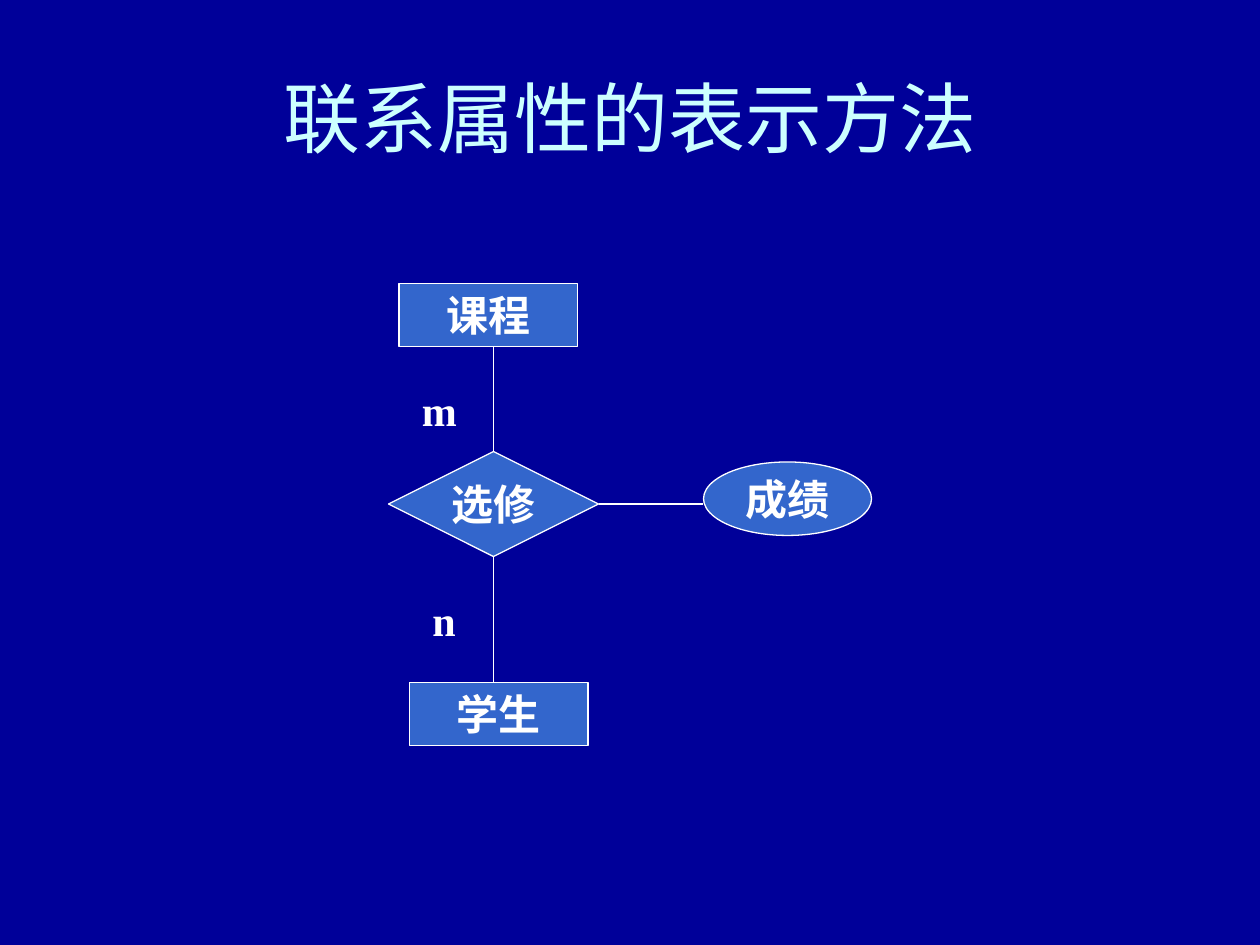
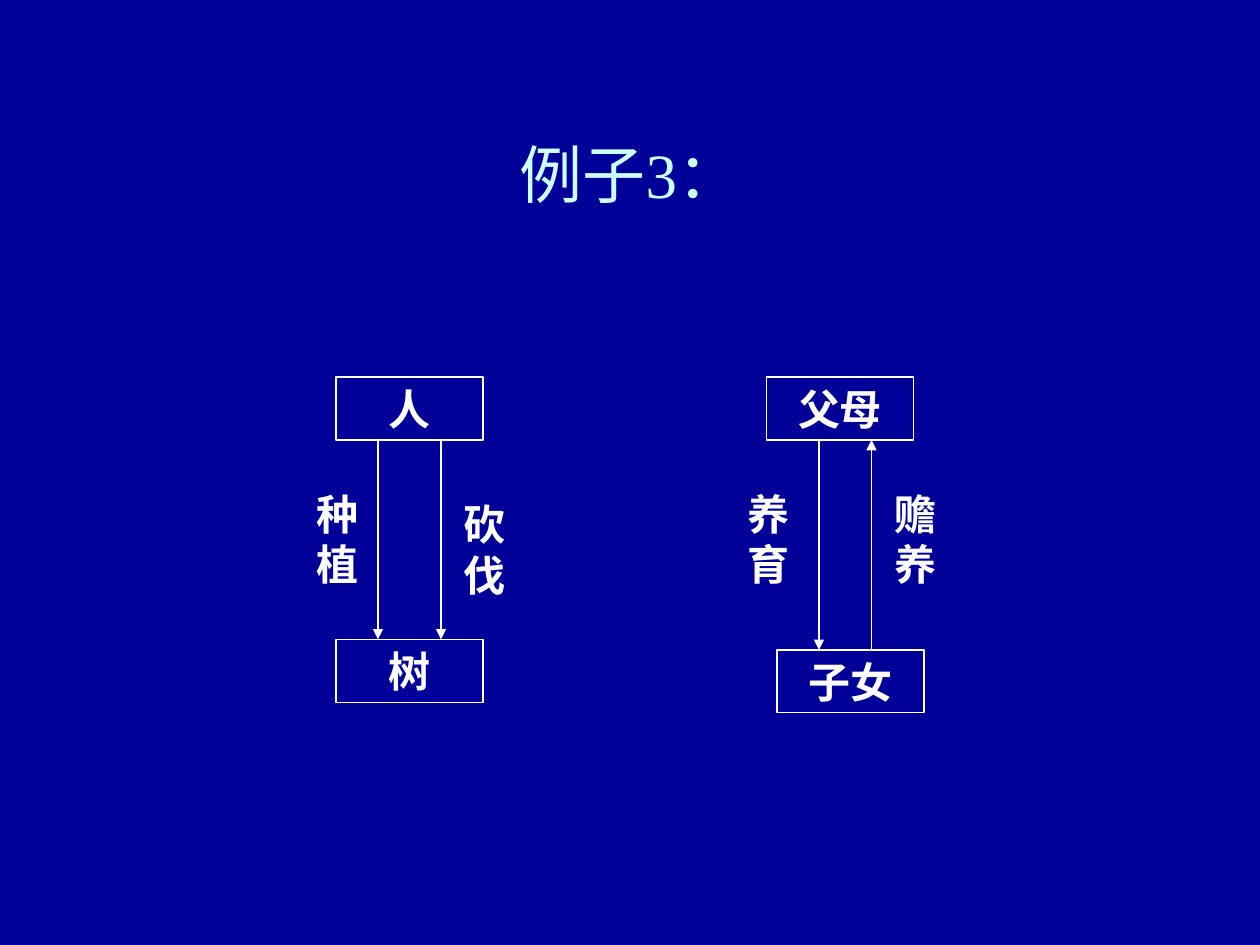
from pptx import Presentation, util as u
from pptx.dml.color import RGBColor
from pptx.enum import shapes, text
from pptx.oxml.ns import qn
from lxml import etree

NAVY = RGBColor(0x00, 0x00, 0x99)
BLUE = RGBColor(0x33, 0x66, 0xCC)
PALE_CYAN = RGBColor(0xCC, 0xFF, 0xFF)
WHITE = RGBColor(0xFF, 0xFF, 0xFF)
SERIF, SANS = "Times New Roman", "Arial"
RECTANGLE = shapes.MSO_SHAPE.RECTANGLE
WIDTH, HEIGHT = u.Inches(10), u.Inches(7.5)
CELL = WIDTH / 120
CENTER, LEFT = text.PP_ALIGN.CENTER, text.PP_ALIGN.LEFT
TOP, MIDDLE = text.MSO_ANCHOR.TOP, text.MSO_ANCHOR.MIDDLE


def grid(origin, *cells):
    """Turn alternating columns and rows from an origin into slide lengths."""
    return [round((cell + origin[i % 2]) * CELL) for i, cell in enumerate(cells)]


def extent(columns, rows):
    """Turn a size in grid cells into slide lengths."""
    return grid((0, 0), columns, rows)


def write(shape, words, size=24, font=SERIF, color=WHITE, bold=True,
          align=CENTER, anchor=TOP, wrap=True):
    """Fill a shape with one styled paragraph."""
    frame = shape.text_frame
    frame.word_wrap, frame.vertical_anchor = wrap, anchor
    paragraph = frame.paragraphs[0]
    paragraph.text, paragraph.alignment = words, align
    paragraph.font.name, paragraph.font.size = font, u.Pt(size)
    paragraph.font.bold, paragraph.font.color.rgb = bold, color


def add_title(slide, words, top, size, font):
    """Place the centred slide title at a share of the slide's height."""
    title = slide.shapes.add_textbox(round(WIDTH * 0.05), round(HEIGHT * top),
                                     round(WIDTH * 0.9), round(HEIGHT / 6))
    write(title, words, size, font, PALE_CYAN, bold=False, anchor=MIDDLE)


def add_node(slide, origin, place, size, words, kind=RECTANGLE, fill=None):
    """Draw an outlined node of the diagram with its name."""
    node = slide.shapes.add_shape(kind, *grid(origin, *place), *extent(*size))
    node.shadow.inherit = False
    if fill is None:
        node.fill.background()
    else:
        node.fill.solid()
        node.fill.fore_color.rgb = fill
    node.line.color.rgb, node.line.width = WHITE, u.Pt(0.75)
    boxed = kind == RECTANGLE
    write(node, words, anchor=TOP if boxed else MIDDLE, wrap=boxed)


def add_label(slide, origin, place, size, words, align=CENTER):
    """Write a label beside a line."""
    label = slide.shapes.add_textbox(*grid(origin, *place), *extent(*size))
    write(label, words, align=align)


def add_link(slide, origin, ends, width=0.75, arrow=False):
    """Join two grid points with a line or an arrow."""
    link = slide.shapes.add_connector(shapes.MSO_CONNECTOR.STRAIGHT, *grid(origin, *ends))
    link.line.color.rgb, link.line.width = WHITE, u.Pt(width)
    if arrow:
        etree.SubElement(link.line._get_or_add_ln(), qn("a:tailEnd"), type="triangle")
    etree.SubElement(link._element.spPr, qn("a:effectLst"))


def draw_enrolment(slide, origin):
    """Draw the enrolment relationship with its grade attribute."""
    for ends in ((10, 16, 10, 6), (10, 26, 10, 38), (20, 21, 30, 21)):
        add_link(slide, origin, ends)
    for place, entity in (((1, 0), "课程"), ((2, 38), "学生")):
        add_node(slide, origin, place, (17, 6), entity, fill=BLUE)
    add_node(slide, origin, (0, 16), (20, 10), "选修", shapes.MSO_SHAPE.DIAMOND, BLUE)
    add_node(slide, origin, (30, 17), (16, 7), "成绩", shapes.MSO_SHAPE.OVAL, BLUE)
    for place, cardinality in (((2, 9), "m"), ((3, 29), "n")):
        add_label(slide, origin, place, (5, 6), cardinality, LEFT)


def draw_pair(slide, origin, upper, lower, lower_place, relations):
    """Draw two entities joined by labelled arrows."""
    add_node(slide, origin, (0, 0), (14, 6), upper)
    add_node(slide, origin, lower_place, (14, 6), lower)
    for column, upward, words, label_place in relations:
        start, end = (lower_place[1], 6) if upward else (6, lower_place[1])
        add_link(slide, origin, (column, start, column, end), 1, arrow=True)
        add_label(slide, origin, label_place, (6, 10.8), words)


def build_attribute_slide(slide):
    """Show how a relationship's attribute is drawn."""
    add_title(slide, "联系属性的表示方法", 0.04, 44, SANS)
    draw_enrolment(slide, (37, 27))


def build_example_slide(slide):
    """Show two pairs of entities with two relationships each."""
    add_title(slide, "例子3：", 0.1, 36, SERIF)
    draw_pair(slide, (32, 35.9), "人", "树", (0, 25),
              ((4, False, "种植", (-3, 10)), (10, False, "砍伐", (11, 11))))
    draw_pair(slide, (73, 35.9), "父母", "子女", (1, 26),
              ((5, False, "养育", (-3, 10)), (10, True, "赡养", (11, 10))))


def main():
    """Build and save the presentation."""
    deck = Presentation()
    deck.slide_width, deck.slide_height = WIDTH, HEIGHT
    backdrop = deck.slide_master.background.fill
    backdrop.solid()
    backdrop.fore_color.rgb = NAVY
    for build in (build_attribute_slide, build_example_slide):
        build(deck.slides.add_slide(deck.slide_layouts[6]))
    deck.save("out.pptx")


if __name__ == "__main__":
    main()
